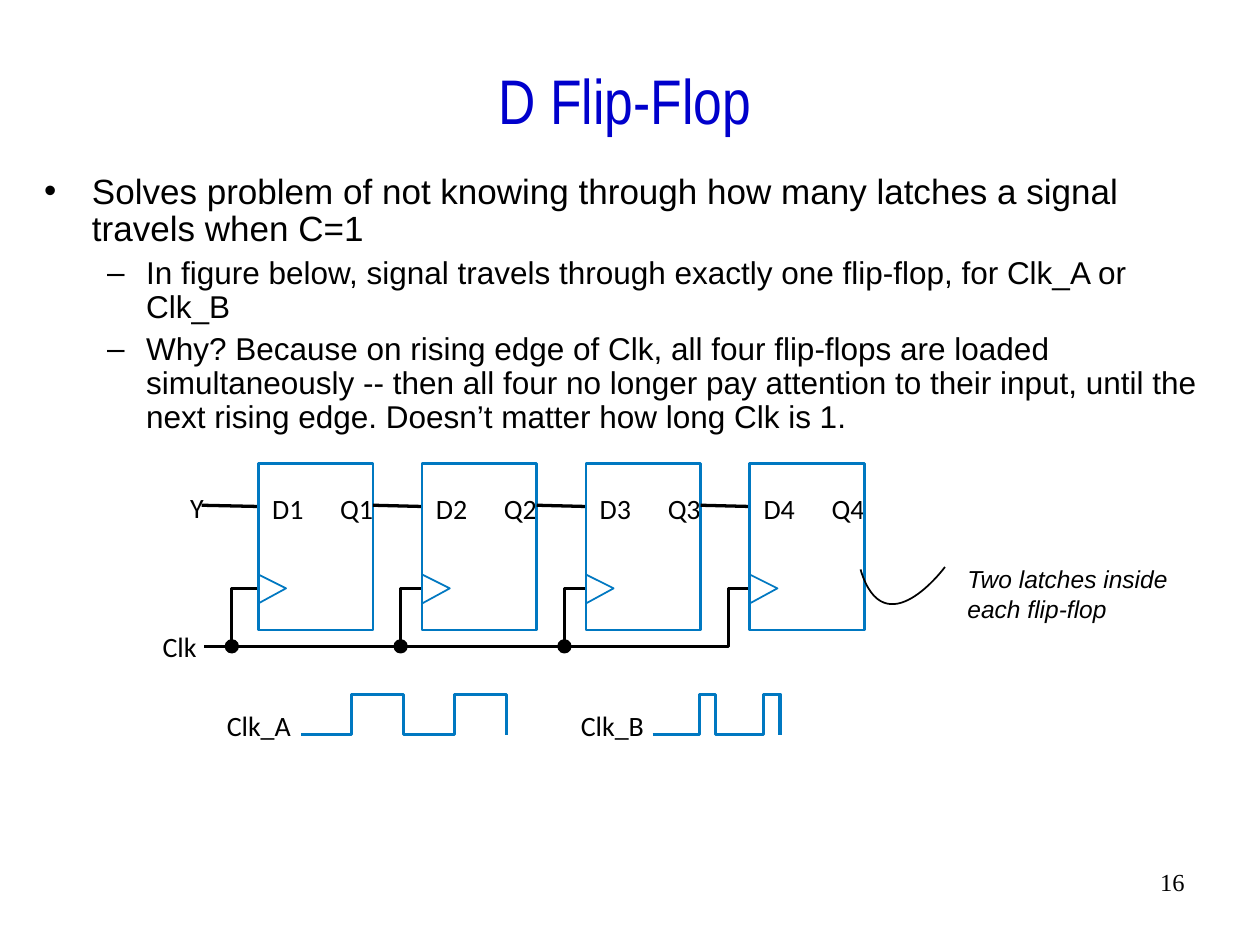
from lxml.etree import SubElement
from pptx import Presentation
from pptx.dml.color import RGBColor
from pptx.enum.shapes import MSO_CONNECTOR as Connector, MSO_SHAPE as Preset
from pptx.enum.text import MSO_ANCHOR as Anchor, MSO_AUTO_SIZE as AutoSize, PP_ALIGN as Align
from pptx.oxml.ns import qn
from pptx.util import Inches, Pt

BLACK, BLUE, TITLE_BLUE = "000000", "0078C1", "0000CC"
WIRE = 1.87
PITCH = 1.3
BULLETS = [
    (0, "Solves problem of not knowing through how many latches a signal travels when C=1"),
    (1, "In figure below, signal travels through exactly one flip-flop, for Clk_A or Clk_B"),
    (1, "Why? Because on rising edge of Clk, all four flip-flops are loaded simultaneously "
        "-- then all four no longer pay attention to their input, until the next rising edge. "
        "Doesn’t matter how long Clk is 1."),
]
LEVELS = [("•", 0.38, -0.38, 5, 20), ("–", 0.81, -0.31, 4.5, 18)]


def paint(target, color):
    target.rgb = RGBColor.from_string(color)


def place(shape, left, top, width, height):
    shape.left, shape.top = Inches(left), Inches(top)
    shape.width, shape.height = Inches(width), Inches(height)


def style_font(font, name, size, color=BLACK):
    font.name, font.size = name, Pt(size)
    paint(font.color, color)


def style_line(shape, color, width):
    paint(shape.line.color, color)
    shape.line.width = Pt(width)


def add_text(shapes, text, left, top, width, height, font="Calibri", size=16):
    box = shapes.add_textbox(Inches(left), Inches(top), Inches(width), Inches(height))
    box.text_frame.word_wrap = True
    para = box.text_frame.paragraphs[0]
    para.text = text
    style_font(para.font, font, size)
    return box


def add_label(shapes, text, left, top, width):
    frame = add_text(shapes, text, left, top, width, 0.27).text_frame
    frame.margin_left = frame.margin_right = frame.margin_top = frame.margin_bottom = 0
    frame.word_wrap = False
    frame.auto_size = AutoSize.SHAPE_TO_FIT_TEXT


def add_wire(shapes, start, end):
    wire = shapes.add_connector(Connector.STRAIGHT, *map(Inches, start + end))
    style_line(wire, BLACK, WIRE)
    SubElement(wire.line._get_or_add_ln().getparent(), qn("a:effectLst"))


def add_path(shapes, points, color=BLACK, width=WIRE):
    corners = [(Inches(x), Inches(y)) for x, y in points]
    builder = shapes.build_freeform(*corners[0])
    builder.add_line_segments(corners[1:], close=False)
    path = builder.convert_to_shape()
    path.fill.background()
    path.shadow.inherit = False
    style_line(path, color, width)
    return path


def add_preset(shapes, preset, left, top, width, height, color, line_width):
    shape = shapes.add_shape(preset, *map(Inches, (left, top, width, height)))
    shape.shadow.inherit = False
    shape.fill.background()
    style_line(shape, color, line_width)
    return shape


def add_curve(shapes, points):
    curve = add_path(shapes, points, width=1)
    segments = list(curve._element.iter(qn("a:lnTo")))
    bezier = SubElement(segments[0].getparent(), qn("a:cubicBezTo"))
    for segment in segments:
        bezier.append(segment[0])
        segment.getparent().remove(segment)


def fill_title(title, left, top, width, height):
    place(title, left, top, width, height)
    frame = title.text_frame
    frame.vertical_anchor = Anchor.MIDDLE
    frame.auto_size = AutoSize.NONE
    para = frame.paragraphs[0]
    para.text = "D Flip-Flop"
    para.alignment = Align.CENTER
    style_font(para.font, "Arial Narrow", 36, TITLE_BLUE)


def fill_body(body, left, top, width, height):
    place(body, left, top, width, height)
    frame = body.text_frame
    frame.auto_size = AutoSize.NONE
    for index, (level, text) in enumerate(BULLETS):
        para = frame.add_paragraph() if index else frame.paragraphs[0]
        bullet, margin, indent, before, size = LEVELS[level]
        para.text, para.level = text, level
        para.line_spacing, para.space_before = 0.9, Pt(before)
        properties = para._p.get_or_add_pPr()
        properties.set("marL", str(Inches(margin)))
        properties.set("indent", str(Inches(indent)))
        SubElement(properties, qn("a:buChar"), char=bullet)
        style_font(para.font, "Arial", size)


def draw_flip_flop(shapes, number, left, top, width, height):
    clock = top + 0.99
    add_label(shapes, f"D{number}", left + 0.11, top + 0.22, 0.29)
    add_label(shapes, f"Q{number}", left + 0.65, top + 0.22, 0.3)
    add_path(shapes, [(left, clock + 0.12), (left + 0.22, clock), (left, clock - 0.11)], BLUE, 1)
    add_preset(shapes, Preset.RECTANGLE, left, top, width, height, BLUE, 1.39)


def draw_register(shapes, left, top, width, height):
    data, clock, bus = top + 0.33, top + 0.99, top + 1.45
    lefts = [left + PITCH * index for index in range(4)]
    drops = [left - 0.21] + [x - 0.17 for x in lefts[1:]]
    for number, (x, drop) in enumerate(zip(lefts, drops), 1):
        wire_start = x - (0.45 if number == 1 else 0.39)
        add_wire(shapes, (wire_start, data), (x, data + 0.01))
        points = [(x, clock), (drop, clock), (drop, bus)]
        if number == len(lefts):
            points.append((left - 0.43, bus))
        add_path(shapes, points)
        draw_flip_flop(shapes, number, x, top, width, height)
    for drop in drops[:-1]:
        dot = add_preset(shapes, Preset.OVAL, drop - 0.05, bus - 0.05, 0.1, 0.1, BLACK, 1)
        dot.fill.solid()
        paint(dot.fill.fore_color, BLACK)
    add_label(shapes, "Y", left - 0.54, top + 0.21, 0.13)
    add_label(shapes, "Clk", left - 0.76, top + 1.32, 0.32)


def draw_waveform(shapes, name, left, top, edges):
    high, low = top, top + 0.32
    points = [(edges[0], low)]
    for rise, fall in zip(edges[1::2], edges[2::2]):
        points += [(rise, low), (rise, high), (fall, high), (fall, low)]
    add_label(shapes, name, left, top + 0.11, 0.56)
    add_path(shapes, points, BLUE)


def draw_note(shapes, left, top, width, height):
    note = add_text(shapes, "Two latches inside each flip-flop", left, top, width, height, "Arial", 14)
    note.text_frame.paragraphs[0].font.italic = True
    start = (left - 0.08, top + 0.07)
    add_curve(shapes, [start, start, (left - 0.56, top + 0.72), (left - 0.75, top + 0.09)])


def draw_page_number(shapes, left, top, width, height):
    number = add_text(shapes, "16", left, top, width, height, "Times New Roman", 14)
    number.text_frame.paragraphs[0].alignment = Align.RIGHT


def main():
    deck = Presentation()
    deck.slide_width, deck.slide_height = Inches(10), Inches(7.5)
    page = deck.slides.add_slide(deck.slide_layouts[1])
    fill_title(page.shapes.title, 0.25, 0.33, 9.42, 0.92)
    fill_body(page.placeholders[1], 0.25, 1.33, 9.42, 2.21)
    circuit = page.shapes.add_group_shape().shapes
    draw_register(circuit, 2.05, 3.68, 0.91, 1.32)
    draw_waveform(circuit, "Clk_A", 1.8, 5.51, [2.39, 2.79, 3.2, 3.61, 4.02])
    draw_waveform(circuit, "Clk_B", 4.61, 5.51, [5.18, 5.55, 5.68, 6.06, 6.19])
    draw_note(page.shapes, 7.58, 4.43, 1.92, 0.57)
    draw_page_number(page.shapes, 7.42, 6.83, 2.08, 0.5)
    deck.save("out.pptx")


if __name__ == "__main__":
    main()
